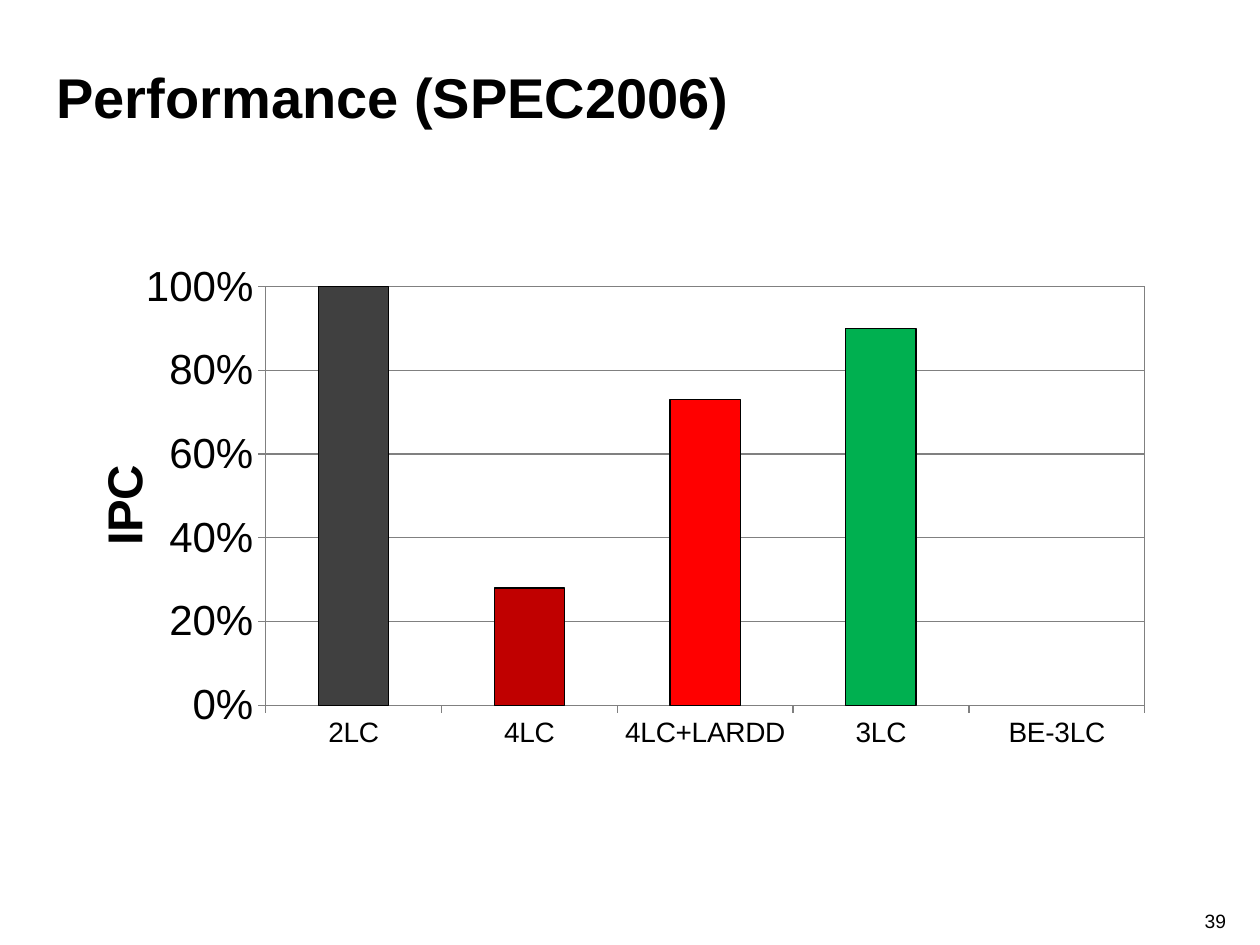
from dataclasses import dataclass

from lxml.etree import SubElement
from pptx import Presentation
from pptx.chart.data import CategoryChartData as ChartData
from pptx.dml.color import RGBColor as Color
from pptx.enum.chart import XL_CHART_TYPE as ChartType, XL_TICK_MARK as TickMark
from pptx.enum.text import MSO_ANCHOR as Anchor, PP_ALIGN as Align
from pptx.oxml import parse_xml
from pptx.oxml.ns import nsdecls, qn
from pptx.util import Inches, Pt


@dataclass(frozen=True)
class Theme:
    font: str = "Arial"
    text: str = "000000"
    grid: str = "808080"
    series: str = "BBE0E3"
    bars: tuple = ("404040", "C00000", "FF0000", "00B050")
    title_size: int = 32
    axis_title_size: int = 28
    value_size: int = 24
    category_size: int = 16
    number_size: int = 11


THEME = Theme()
SLIDE_WIDTH, SLIDE_HEIGHT = 10, 7.5
TITLE_BOX = (0.035, 0.047, 0.9, 0.11)
CHART_BOX = (0.067, 0.267, 0.857, 0.56)
NUMBER_BOX = (0.925, 0.956, 0.058, 0.024)
PLOT_BOX = {"x": 0.168, "y": 0.065, "w": 0.814, "h": 0.791}
RESULTS = {"2LC": 1, "4LC": 0.28, "4LC+LARDD": 0.73, "3LC": 0.9, "BE-3LC": None}


def place(box):
    """Turn shares of the slide into lengths."""
    left, top, width, height = box
    return (Inches(left * SLIDE_WIDTH), Inches(top * SLIDE_HEIGHT),
            Inches(width * SLIDE_WIDTH), Inches(height * SLIDE_HEIGHT))


def style_font(font, size, bold=False):
    """Apply the theme's typeface and colour at a size."""
    font.name = THEME.font
    font.size = Pt(size)
    font.bold = bold
    font.color.rgb = Color.from_string(THEME.text)


def add_text(slide, box, text, size, bold=False, align=Align.LEFT, anchor=Anchor.TOP):
    """Add one line of text in a box."""
    frame = slide.shapes.add_textbox(*place(box)).text_frame
    frame.word_wrap = True
    frame.vertical_anchor = anchor
    frame.text = text
    paragraph = frame.paragraphs[0]
    paragraph.alignment = align
    style_font(paragraph.runs[0].font, size, bold)


def style_line(line, color):
    """Give a chart line a colour and a thin width."""
    line.color.rgb = Color.from_string(color)
    line.width = Pt(0.75)


def style_fill(fill, color):
    """Give a chart part a solid colour."""
    fill.solid()
    fill.fore_color.rgb = Color.from_string(color)


def frame_plot(chart):
    """Fix the inner plot area and outline it."""
    plot_area = chart._chartSpace.chart.plotArea
    for old_layout in plot_area.findall(qn("c:layout")):
        plot_area.remove(old_layout)
    layout = parse_xml(f"<c:layout {nsdecls('c')}><c:manualLayout/></c:layout>")
    settings = {"layoutTarget": "inner", "xMode": "edge", "yMode": "edge", **PLOT_BOX}
    for name, value in settings.items():
        SubElement(layout[0], qn(f"c:{name}")).set("val", str(value))
    plot_area.insert(0, layout)
    plot_area.append(parse_xml(
        f'<c:spPr {nsdecls("c", "a")}><a:noFill/><a:ln w="9525"><a:solidFill>'
        f'<a:srgbClr val="{THEME.grid}"/></a:solidFill></a:ln></c:spPr>'))


def style_axes(chart):
    """Set the scale, ticks, gridlines and labels of both axes."""
    category_axis, value_axis = chart.category_axis, chart.value_axis
    for axis, size in ((category_axis, THEME.category_size),
                       (value_axis, THEME.value_size)):
        axis.major_tick_mark = TickMark.OUTSIDE
        axis.minor_tick_mark = TickMark.NONE
        style_font(axis.tick_labels.font, size)
        style_line(axis.format.line, THEME.grid)
    value_axis.minimum_scale, value_axis.maximum_scale = 0, 1
    value_axis.major_unit = 0.2
    value_axis.tick_labels.number_format = "0%"
    value_axis.tick_labels.number_format_is_linked = False
    value_axis.has_major_gridlines = True
    style_line(value_axis.major_gridlines.format.line, THEME.grid)
    title_frame = value_axis.axis_title.text_frame
    title_frame.text = "IPC"
    style_font(title_frame.paragraphs[0].runs[0].font, THEME.axis_title_size, bold=True)


def color_bars(plot):
    """Set the bar spacing and colour each bar."""
    plot.gap_width = 150
    plot.vary_by_categories = False
    series = plot.series[0]
    style_fill(series.format.fill, THEME.series)
    for index, color in enumerate(THEME.bars):
        bar = series.points[index].format
        style_fill(bar.fill, color)
        style_line(bar.line, THEME.text)


def add_performance_chart(slide, box):
    """Add the column chart of IPC per design."""
    data = ChartData(number_format="0%")
    data.categories = list(RESULTS)
    data.add_series("Series 1", list(RESULTS.values()))
    chart = slide.shapes.add_chart(ChartType.COLUMN_CLUSTERED, *place(box), data).chart
    chart.has_legend = False
    chart.has_title = False
    style_font(chart.font, THEME.value_size)
    style_axes(chart)
    color_bars(chart.plots[0])
    frame_plot(chart)


def main():
    """Build and save the slide."""
    presentation = Presentation()
    presentation.slide_width = Inches(SLIDE_WIDTH)
    presentation.slide_height = Inches(SLIDE_HEIGHT)
    slide = presentation.slides.add_slide(presentation.slide_layouts[6])
    add_text(slide, TITLE_BOX, "Performance (SPEC2006)", THEME.title_size,
             bold=True, anchor=Anchor.MIDDLE)
    add_text(slide, NUMBER_BOX, "39", THEME.number_size, align=Align.RIGHT)
    add_performance_chart(slide, CHART_BOX)
    presentation.save("out.pptx")


if __name__ == "__main__":
    main()
